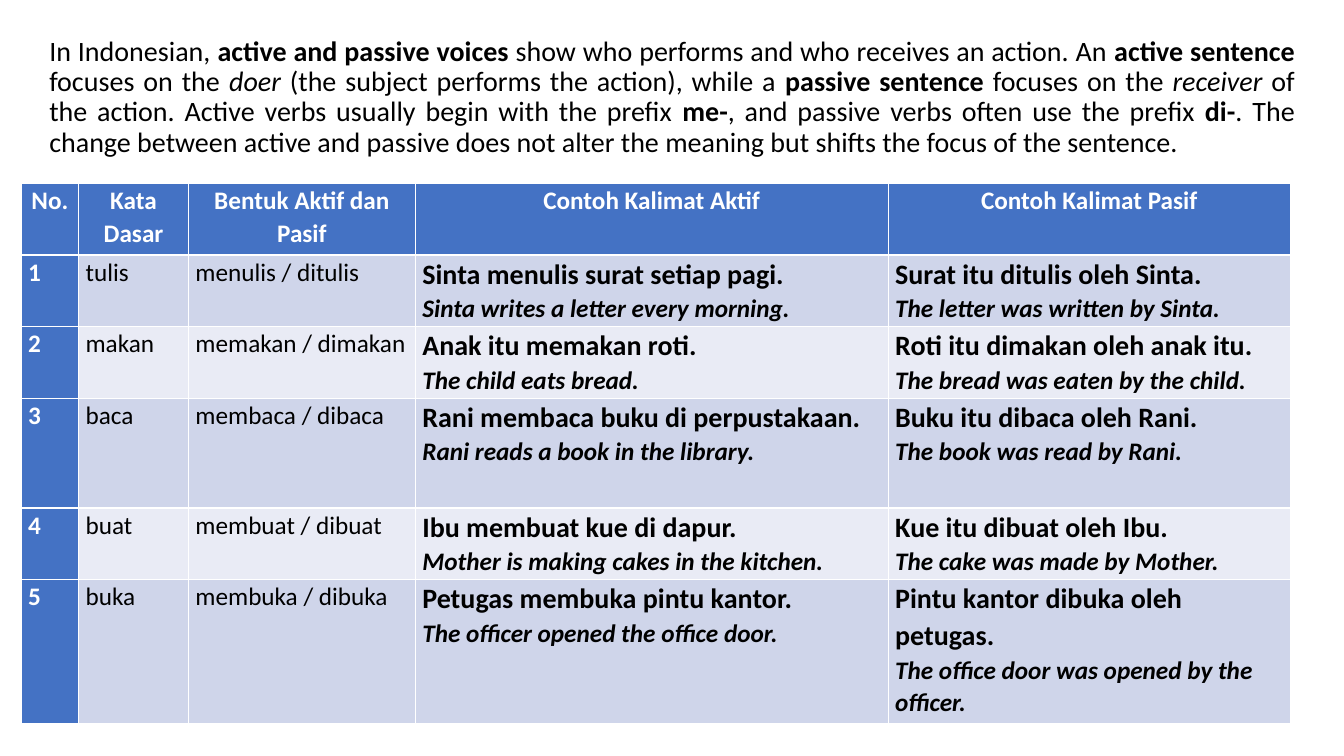
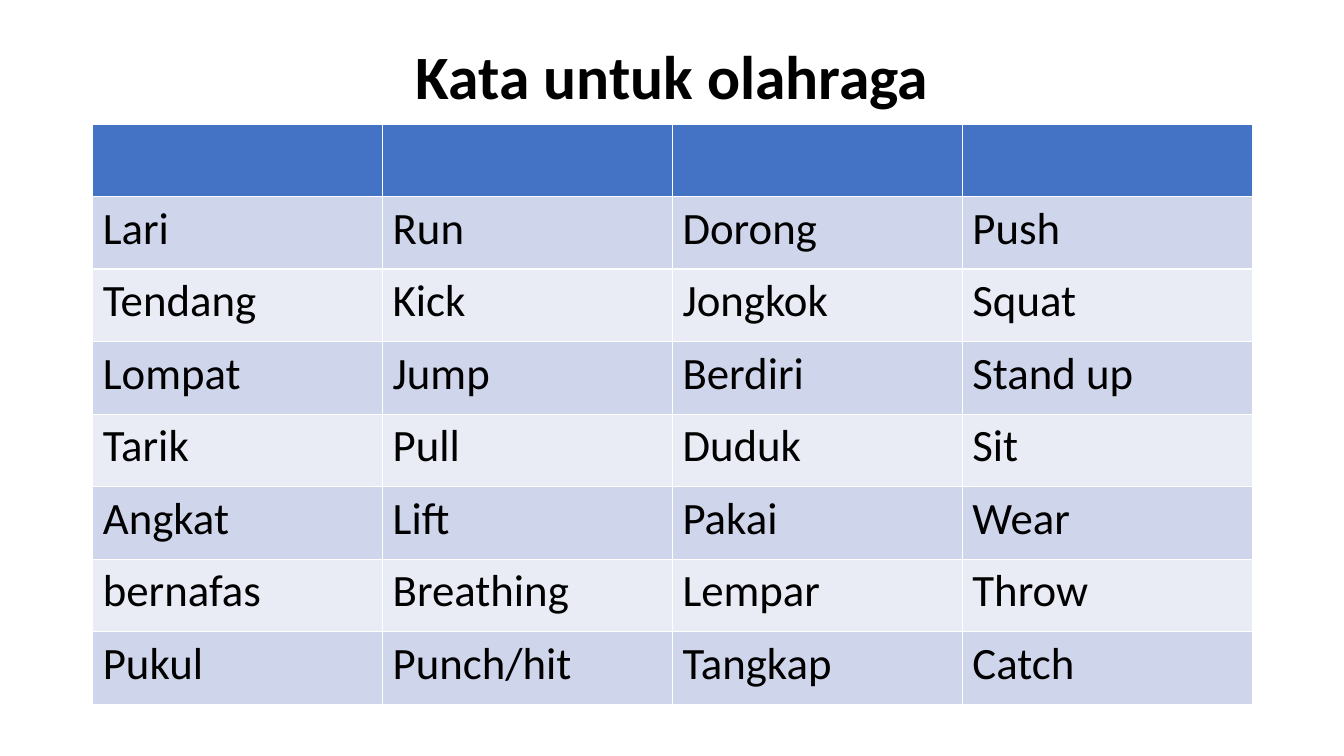
from pptx import Presentation
from pptx.dml.color import RGBColor
from pptx.enum.text import MSO_ANCHOR, PP_ALIGN
from pptx.util import Inches, Pt

BLUE = RGBColor(0x44, 0x72, 0xC4)
BANDS = [RGBColor(0xE9, 0xEB, 0xF5), RGBColor(0xCF, 0xD5, 0xEA)]
WHITE = RGBColor(0xFF, 0xFF, 0xFF)
BLACK = RGBColor(0, 0, 0)
CENTER = PP_ALIGN.CENTER
JUSTIFY = PP_ALIGN.JUSTIFY
MIDDLE = MSO_ANCHOR.MIDDLE
FONT = "Calibri"


def style(run, size, color=BLACK, bold=False, italic=False):
    font = run.font
    font.name = FONT
    font.size = Pt(size)
    font.color.rgb = color
    font.bold = bold
    font.italic = italic


def add_grid(slide, rows, left, top, widths, heights):
    frame = slide.shapes.add_table(
        len(rows), len(widths), Inches(left), Inches(top),
        Inches(sum(widths)), Inches(sum(heights)))
    table = frame.table
    for column, width in zip(table.columns, widths):
        column.width = Inches(width)
    for r, (row, height) in enumerate(zip(rows, heights)):
        table.rows[r].height = Inches(height)
        for c, text in enumerate(row):
            cell = table.cell(r, c)
            cell.fill.solid()
            cell.fill.fore_color.rgb = BLUE if r == 0 else BANDS[r % 2]
            if text:
                cell.text_frame.text = text
    return table


prs = Presentation()
prs.slide_width = Inches(13.33)
prs.slide_height = Inches(7.5)

slide = prs.slides.add_slide(prs.slide_layouts[6])
box = slide.shapes.add_textbox(Inches(0.39), Inches(0.32), Inches(12.55), Inches(1.4))
box.text_frame.word_wrap = True
intro = box.text_frame.paragraphs[0]
intro.alignment = JUSTIFY
intro.line_spacing = 0.9
parts = [
    ("In Indonesian, ", ""),
    ("active and passive voices", "b"),
    (" show who performs and who receives an action. An ", ""),
    ("active sentence", "b"),
    (" focuses on the ", ""),
    ("doer", "i"),
    (" (the subject performs the action), while a ", ""),
    ("passive sentence", "b"),
    (" focuses on the ", ""),
    ("receiver", "i"),
    (" of the action. Active verbs usually begin with the prefix ", ""),
    ("me-", "b"),
    (", and passive verbs often use the prefix ", ""),
    ("di-", "b"),
    (". The change between active and passive does not alter the meaning "
     "but shifts the focus of the sentence.", ""),
]
for text, mark in parts:
    run = intro.add_run()
    run.text = text
    style(run, 20, bold=mark == "b", italic=mark == "i")

voices = [
    ("No.", "Kata Dasar", "Bentuk Aktif dan Pasif",
     "Contoh Kalimat Aktif", "Contoh Kalimat Pasif"),
    ("1", "tulis", "menulis / ditulis",
     "Sinta menulis surat setiap pagi.\nSinta writes a letter every morning.",
     "Surat itu ditulis oleh Sinta.\nThe letter was written by Sinta."),
    ("2", "makan", "memakan / dimakan",
     "Anak itu memakan roti.\nThe child eats bread.",
     "Roti itu dimakan oleh anak itu.\nThe bread was eaten by the child."),
    ("3", "baca", "membaca / dibaca",
     "Rani membaca buku di perpustakaan.\nRani reads a book in the library.",
     "Buku itu dibaca oleh Rani.\nThe book was read by Rani."),
    ("4", "buat", "membuat / dibuat",
     "Ibu membuat kue di dapur.\nMother is making cakes in the kitchen.",
     "Kue itu dibuat oleh Ibu.\nThe cake was made by Mother."),
    ("5", "buka", "membuka / dibuka",
     "Petugas membuka pintu kantor.\nThe officer opened the office door.",
     "Pintu kantor dibuka oleh petugas.\nThe office door was opened by the officer."),
]
table = add_grid(slide, voices, 0.21, 1.82,
                 [0.57, 1.09, 2.25, 4.69, 3.99], [0.71, 0.71, 0.71, 1.09, 0.71, 1.43])
table.first_col = True
for r in range(len(voices)):
    for c in range(len(voices[0])):
        cell = table.cell(r, c)
        cell.margin_left = cell.margin_right = Inches(0.07)
        cell.margin_top = cell.margin_bottom = 0
        head = r == 0 or c == 0
        if head:
            cell.fill.fore_color.rgb = BLUE
        for n, para in enumerate(cell.text_frame.paragraphs):
            para.line_spacing = 1.07
            if r == 0:
                para.alignment = CENTER
            phrase = not head and c > 2
            size = 20 if phrase and n == 0 else 18
            style(para.runs[0], size, WHITE if head else BLACK, head or phrase, n == 1)

slide = prs.slides.add_slide(prs.slide_layouts[5])
title = slide.shapes.title
title.left, title.top = Inches(0.92), Inches(0.4)
title.width, title.height = Inches(11.5), Inches(0.77)
title.text_frame.text = "Kata untuk olahraga"
title.text_frame.vertical_anchor = MIDDLE
para = title.text_frame.paragraphs[0]
para.alignment = CENTER
para.line_spacing = 0.9
style(para.runs[0], 44, bold=True)

sports = [
    ("", "", "", ""),
    ("Lari", "Run", "Dorong", "Push"),
    ("Tendang", "Kick", "Jongkok", "Squat"),
    ("Lompat", "Jump", "Berdiri", "Stand up"),
    ("Tarik", "Pull", "Duduk", "Sit"),
    ("Angkat", "Lift", "Pakai", "Wear"),
    ("bernafas", "Breathing", "Lempar", "Throw"),
    ("Pukul", "Punch/hit", "Tangkap", "Catch"),
]
table = add_grid(slide, sports, 0.92, 1.23, [2.875] * 4, [0.72] * len(sports))
for r in range(1, len(sports)):
    for c in range(4):
        style(table.cell(r, c).text_frame.paragraphs[0].runs[0], 32)

prs.save("out.pptx")
